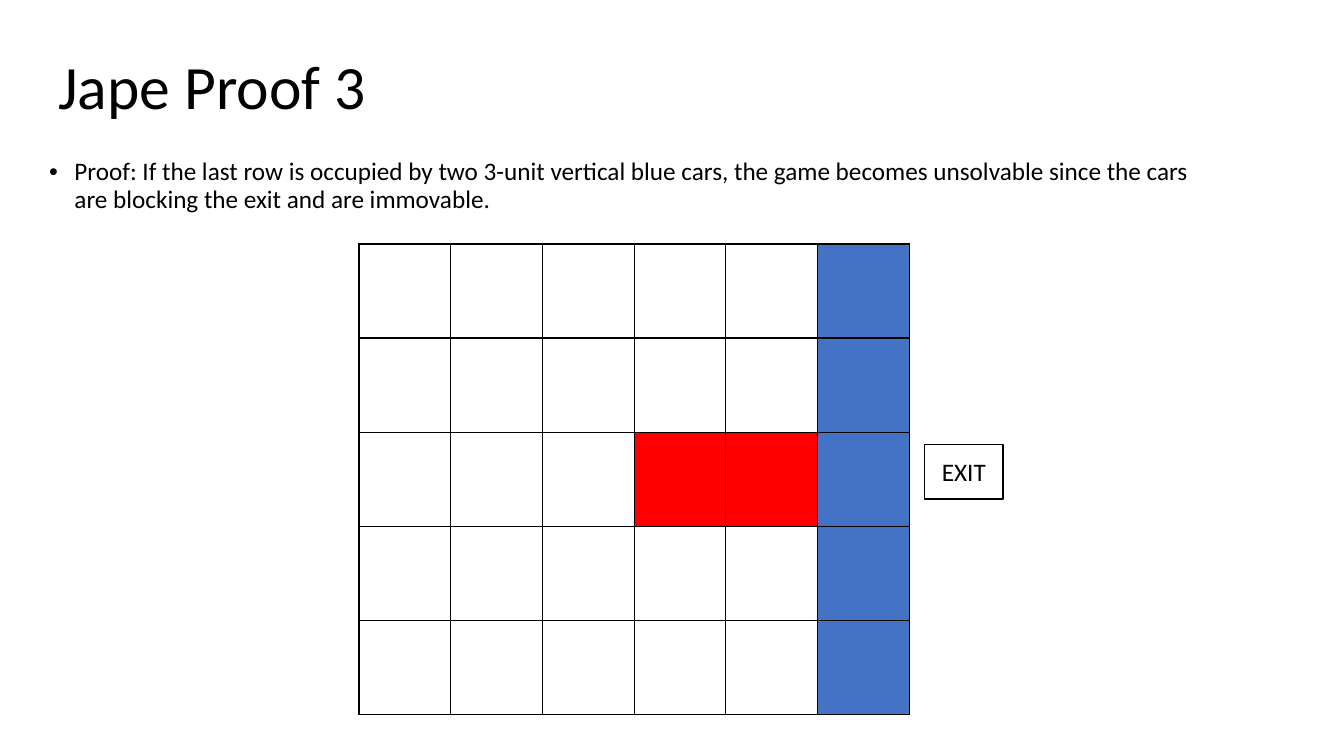
from dataclasses import dataclass

from lxml.etree import SubElement
from pptx import Presentation
from pptx.dml.color import RGBColor
from pptx.enum.text import MSO_ANCHOR, PP_ALIGN
from pptx.enum.shapes import MSO_SHAPE
from pptx.oxml.ns import qn
from pptx.slide import Slide
from pptx.table import _Cell
from pptx.text.text import TextFrame, _Paragraph
from pptx.util import Inches, Pt

COLORS = {"text": "000000", "line": "000000", "paper": "FFFFFF",
          "blue_car": "4472C4", "red_car": "FF0000"}
FONT = "Calibri"
ROWS, COLS = 5, 6
CELL_W, CELL_H = 0.91, 0.934


@dataclass(frozen=True)
class Box:
    left: float
    top: float
    width: float
    height: float

    def lengths(self) -> tuple:
        return tuple(Inches(v) for v in (self.left, self.top, self.width, self.height))


@dataclass(frozen=True)
class TextItem:
    box: Box
    text: str
    size: int
    anchor: MSO_ANCHOR = MSO_ANCHOR.TOP
    bullet: bool = False


@dataclass(frozen=True)
class Car:
    color: str
    cells: tuple


TEXTS = (
    TextItem(Box(0.48, 0.16, 11.5, 1.45), "Jape Proof 3", 44, MSO_ANCHOR.MIDDLE),
    TextItem(Box(0.39, 1.53, 11.6, 0.38),
             "Proof: If the last row is occupied by two 3-unit vertical blue cars, "
             "the game becomes unsolvable since the cars are blocking the exit and "
             "are immovable.", 18, bullet=True),
)
BOARD = Box(3.56, 2.42, COLS * CELL_W, ROWS * CELL_H)
EXIT = Box(9.17, 4.41, 0.78, 0.54)
CARS = (
    Car("blue_car", tuple((row, COLS - 1) for row in range(ROWS))),
    Car("red_car", ((2, 3), (2, 4))),
)


def rgb(name: str) -> RGBColor:
    return RGBColor.from_string(COLORS[name])


def write(tf: TextFrame, text: str, size: int) -> _Paragraph:
    tf.word_wrap = True
    p = tf.paragraphs[0]
    p.text = text
    for r in p.runs:
        r.font.name = FONT
        r.font.size = Pt(size)
        r.font.color.rgb = rgb("text")
    return p


def add_bullet(p: _Paragraph) -> None:
    p.space_before = Pt(10)
    pPr = p._p.get_or_add_pPr()
    pPr.set("marL", str(Inches(0.25)))
    pPr.set("indent", str(Inches(-0.25)))
    SubElement(pPr, qn("a:buFont"), typeface="Arial")
    SubElement(pPr, qn("a:buChar"), char="•")


def add_text(s: Slide, item: TextItem) -> None:
    tf = s.shapes.add_textbox(*item.box.lengths()).text_frame
    tf.vertical_anchor = item.anchor
    p = write(tf, item.text, item.size)
    p.line_spacing = 0.9
    if item.bullet:
        add_bullet(p)


def add_borders(cell: _Cell) -> None:
    """Draw all four borders; call before the fill, which must follow them in the XML."""
    tcPr = cell._tc.get_or_add_tcPr()
    for side in ("L", "R", "T", "B"):
        ln = SubElement(tcPr, qn(f"a:ln{side}"), w=str(Pt(1)))
        fill = SubElement(ln, qn("a:solidFill"))
        SubElement(fill, qn("a:srgbClr"), val=COLORS["line"])


def add_board(s: Slide) -> None:
    table = s.shapes.add_table(ROWS, COLS, *BOARD.lengths()).table
    table.first_row = table.horz_banding = False
    for column in table.columns:
        column.width = Inches(CELL_W)
    for row in table.rows:
        row.height = Inches(CELL_H)
    for cell in table.iter_cells():
        add_borders(cell)
        cell.fill.background()
    for car in CARS:
        for row, col in car.cells:
            fill = table.cell(row, col).fill
            fill.solid()
            fill.fore_color.rgb = rgb(car.color)


def add_exit(s: Slide) -> None:
    sp = s.shapes.add_shape(MSO_SHAPE.RECTANGLE, *EXIT.lengths())
    sp.shadow.inherit = False
    sp.fill.solid()
    sp.fill.fore_color.rgb = rgb("paper")
    sp.line.color.rgb = rgb("line")
    sp.line.width = Pt(1)
    tf = sp.text_frame
    tf.vertical_anchor = MSO_ANCHOR.MIDDLE
    write(tf, "EXIT", 18).alignment = PP_ALIGN.CENTER


def main() -> None:
    prs = Presentation()
    prs.slide_width, prs.slide_height = Inches(13.33), Inches(7.5)
    s = prs.slides.add_slide(prs.slide_layouts[6])
    for item in TEXTS:
        add_text(s, item)
    add_board(s)
    add_exit(s)
    prs.save("out.pptx")


if __name__ == "__main__":
    main()
